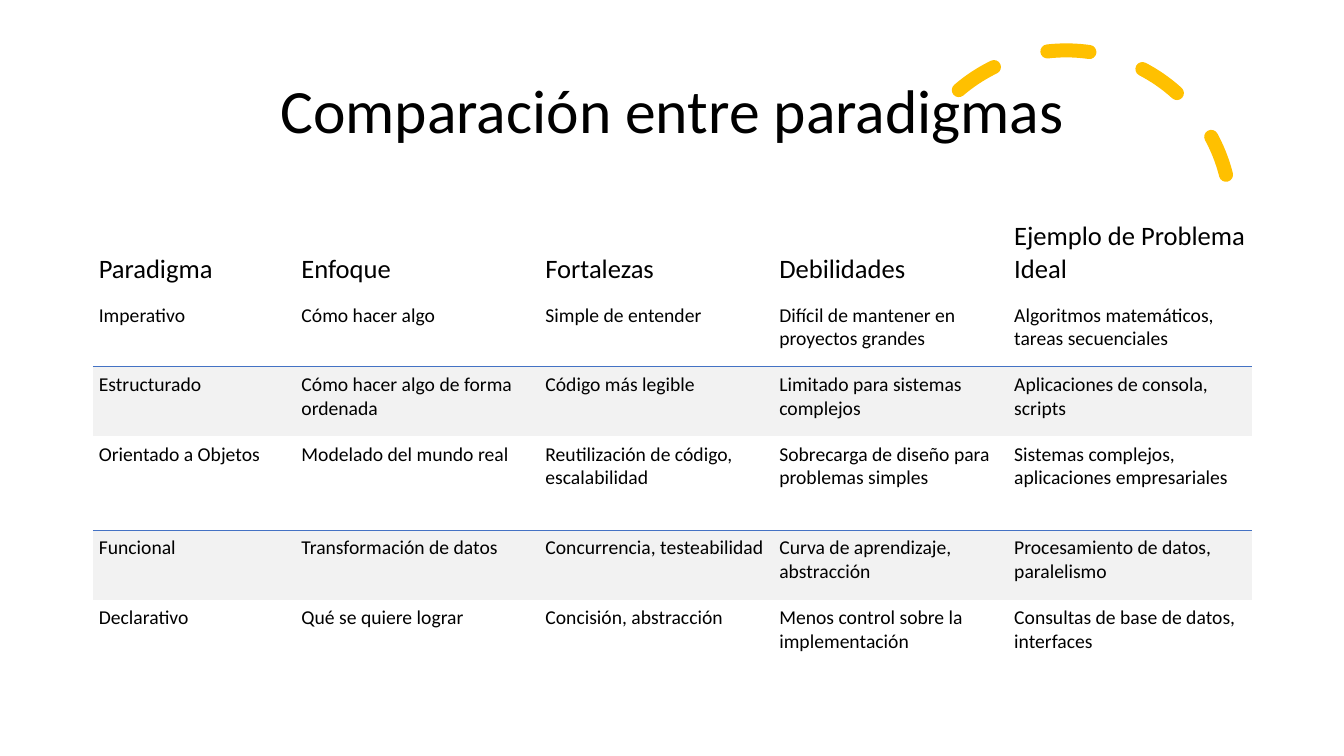
from lxml import etree
from pptx import Presentation
from pptx.dml.color import RGBColor
from pptx.enum.dml import MSO_LINE_DASH_STYLE as Dash
from pptx.enum.shapes import MSO_SHAPE as Shape
from pptx.enum.text import MSO_ANCHOR as Anchor, PP_ALIGN as Align
from pptx.oxml.ns import qn
from pptx.util import Inches, Pt

# Content
TITLE = "Comparación entre paradigmas"
HEADER = ("Paradigma", "Enfoque", "Fortalezas", "Debilidades", "Ejemplo de Problema Ideal")
PARADIGMS = [
    ("Imperativo", "Cómo hacer algo", "Simple de entender",
     "Difícil de mantener en proyectos grandes", "Algoritmos matemáticos, tareas secuenciales"),
    ("Estructurado", "Cómo hacer algo de forma ordenada", "Código más legible",
     "Limitado para sistemas complejos", "Aplicaciones de consola, scripts"),
    ("Orientado a Objetos", "Modelado del mundo real", "Reutilización de código, escalabilidad",
     "Sobrecarga de diseño para problemas simples",
     "Sistemas complejos, aplicaciones empresariales"),
    ("Funcional", "Transformación de datos", "Concurrencia, testeabilidad",
     "Curva de aprendizaje, abstracción", "Procesamiento de datos, paralelismo"),
    ("Declarativo", "Qué se quiere lograr", "Concisión, abstracción",
     "Menos control sobre la implementación", "Consultas de base de datos, interfaces"),
]

# Format and grid, in inches
COLORS = {"text": "000000", "band": "F2F2F2", "rule": "4472C4", "arc": "FFC000"}
FONT = "Calibri"
SLIDE_WIDTH, SLIDE_HEIGHT = 13.33, 7.5
MARGIN = 0.92
COLUMNS = (2.01, 2.42, 2.32, 2.33, 2.42)
ROWS = (0.85, 0.69, 0.69, 0.93, 0.69, 0.69)
BANDED_ROWS = (2, 4)
TITLE_TOP, TITLE_HEIGHT = 0.4, 1.45
TABLE_TOP = 2.1
ARC_LEFT, ARC_TOP, ARC_SIZE = 8.94, 0.5, 3.27
CELL_FORMAT = {"margin_left": Inches(0.06), "margin_right": Inches(0.06),
               "margin_top": Inches(0.06), "margin_bottom": Inches(0.12)}


def color(name):
    return RGBColor.from_string(COLORS[name])


def write(paragraph, text, size):
    run = paragraph.add_run()
    run.text = text
    for name, value in {"name": FONT, "size": Pt(size), "bold": False}.items():
        setattr(run.font, name, value)
    run.font.color.rgb = color("text")


def set_borders(cell, ruled_sides):
    properties = cell._tc.get_or_add_tcPr()
    for index, side in enumerate("LRTB"):
        line = etree.Element(qn(f"a:ln{side}"), w=str(Pt(1)))
        if side in ruled_sides:
            fill = etree.SubElement(line, qn("a:solidFill"))
            etree.SubElement(fill, qn("a:srgbClr"), val=COLORS["rule"])
        else:
            etree.SubElement(line, qn("a:noFill"))
        properties.insert(index, line)


def add_dashed_arc(slide):
    arc = slide.shapes.add_shape(Shape.ARC, Inches(ARC_LEFT), Inches(ARC_TOP),
                                 Inches(ARC_SIZE), Inches(ARC_SIZE))
    arc.adjustments[0], arc.adjustments[1] = 146.13, 0
    arc.rotation = 345.8
    arc.shadow.inherit = False
    arc.fill.background()
    arc.line.color.rgb = color("arc")
    arc.line.width = Pt(10)
    arc.line.dash_style = Dash.DASH
    arc.line._get_or_add_ln().set("cap", "rnd")


def add_title(slide):
    title = slide.shapes.add_textbox(Inches(MARGIN), Inches(TITLE_TOP),
                                     Inches(sum(COLUMNS)), Inches(TITLE_HEIGHT))
    frame = title.text_frame
    frame.word_wrap = True
    frame.vertical_anchor = Anchor.MIDDLE
    paragraph = frame.paragraphs[0]
    paragraph.alignment = Align.CENTER
    paragraph.line_spacing = 0.9
    write(paragraph, TITLE, 44)


def add_comparison(slide):
    table = slide.shapes.add_table(len(ROWS), len(COLUMNS), Inches(MARGIN), Inches(TABLE_TOP),
                                   Inches(sum(COLUMNS)), Inches(sum(ROWS))).table
    table.first_row = table.horz_banding = False
    for column, width in zip(table.columns, COLUMNS):
        column.width = Inches(width)
    for row_index, texts in enumerate([HEADER, *PARADIGMS]):
        table.rows[row_index].height = Inches(ROWS[row_index])
        is_header, is_banded = row_index == 0, row_index in BANDED_ROWS
        # Each band has a rule along its top edge, shared with the row above
        ruled_sides = "T" if is_banded else "B" if row_index + 1 in BANDED_ROWS else ""
        for cell, text in zip(table.rows[row_index].cells, texts):
            for name, value in CELL_FORMAT.items():
                setattr(cell, name, value)
            cell.vertical_anchor = Anchor.BOTTOM if is_header else Anchor.TOP
            write(cell.text_frame.paragraphs[0], text, 19 if is_header else 14)
            set_borders(cell, ruled_sides)
            if is_banded:
                cell.fill.solid()
                cell.fill.fore_color.rgb = color("band")
            else:
                cell.fill.background()


def main():
    presentation = Presentation()
    presentation.slide_width = Inches(SLIDE_WIDTH)
    presentation.slide_height = Inches(SLIDE_HEIGHT)
    slide = presentation.slides.add_slide(presentation.slide_layouts[6])
    add_dashed_arc(slide)
    add_title(slide)
    add_comparison(slide)
    presentation.save("out.pptx")


if __name__ == "__main__":
    main()
